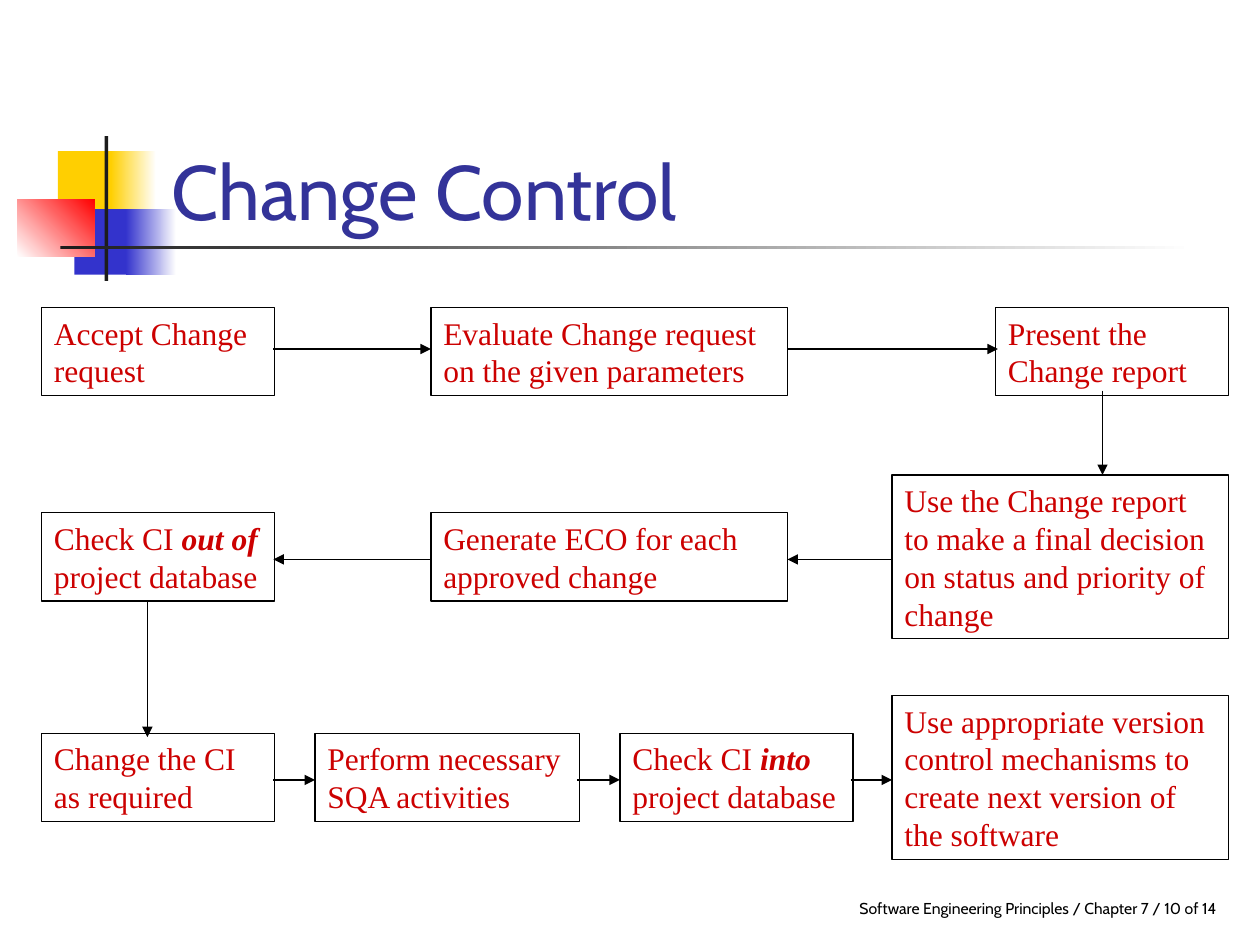
from dataclasses import dataclass

from lxml.etree import SubElement
from pptx import Presentation
from pptx.dml.color import RGBColor as RGB
from pptx.enum.shapes import MSO_CONNECTOR as CONNECTOR, MSO_SHAPE as SHAPE
from pptx.enum.text import MSO_ANCHOR as ANCHOR, MSO_AUTO_SIZE as AUTO, PP_ALIGN as ALIGN
from pptx.oxml.ns import qn
from pptx.util import Inches, Pt


@dataclass(frozen=True)
class Theme:
    heading_font: str = "Cabin"
    body_font: str = "Times New Roman"
    title_size: int = 44
    box_size: int = 18
    footer_size: int = 9
    line_width: float = 0.75
    title: str = "333399"
    box_text: str = "CC0000"
    ink: str = "000000"
    paper: str = "FFFFFF"
    yellow: str = "FFCF01"
    blue: str = "3333CC"
    red: str = "FF0000"
    dark: str = "1C1C1C"


T = Theme()


def rgb(value):
    return RGB.from_string(value)


def style_run(r, font, size, color):
    r.font.name, r.font.size = font, Pt(size)
    r.font.color.rgb = rgb(color)


def place(sp, box):
    sp.left, sp.top, sp.width, sp.height = map(Inches, box)


def add_rect(slide, box):
    sp = slide.shapes.add_shape(SHAPE.RECTANGLE, *map(Inches, box))
    sp.shadow.inherit = False
    return sp


def add_block(slide, box, start, end=None, angle=0):
    """Borderless rectangle, solid or fading from start to end."""
    sp = add_rect(slide, box)
    sp.line.fill.background()
    if end is None:
        sp.fill.solid()
        sp.fill.fore_color.rgb = rgb(start)
        return
    sp.fill.gradient()
    sp.fill.gradient_angle = angle
    for stop, color in zip(sp.fill.gradient_stops, (start, end)):
        stop.color.rgb = rgb(color)


def add_ornament(slide, box):
    """Coloured squares with the crossing bars."""
    x, y, w, h = box
    add_block(slide, (x + 0.32, y + 0.12, 0.48, 0.52), T.yellow)
    add_block(slide, (x + 0.74, y + 0.12, 0.36, 0.52), T.yellow, T.paper)
    add_block(slide, (x + 0.45, y + 0.58, 0.46, 0.52), T.blue)
    add_block(slide, (x + 0.86, y + 0.58, 0.4, 0.52), T.blue, T.paper)
    add_block(slide, (x, y + 0.5, 0.61, 0.46), T.paper, T.red, angle=45)
    add_block(slide, (x + 0.69, y, 0.03, h), T.dark)
    add_block(slide, (x + 0.34, y + 0.87, w - 0.34, 0.03), T.dark, T.paper)


def add_title(slide, box, text):
    sp = slide.shapes.title
    place(sp, box)
    slide.shapes._spTree.append(sp._element)  # in front of the ornament
    tf = sp.text_frame
    tf.text = text
    tf.auto_size, tf.vertical_anchor = AUTO.NONE, ANCHOR.BOTTOM
    p = tf.paragraphs[0]
    p.alignment = ALIGN.LEFT
    style_run(p.runs[0], T.heading_font, T.title_size, T.title)


def add_footer(slide, box, text):
    tf = slide.shapes.add_textbox(*map(Inches, box)).text_frame
    tf.text = text
    tf.word_wrap, tf.vertical_anchor = True, ANCHOR.BOTTOM
    p = tf.paragraphs[0]
    p.alignment = ALIGN.RIGHT
    style_run(p.runs[0], T.heading_font, T.footer_size, T.ink)


def add_step(slide, box, parts):
    """Outlined box; every second part of its text is emphasised."""
    sp = add_rect(slide, box)
    sp.fill.background()
    sp.line.color.rgb, sp.line.width = rgb(T.ink), Pt(T.line_width)
    tf = sp.text_frame
    tf.word_wrap, tf.vertical_anchor = True, ANCHOR.TOP
    p = tf.paragraphs[0]
    p.alignment = ALIGN.LEFT
    for i, part in enumerate(parts):
        r = p.add_run()
        r.text = part
        style_run(r, T.body_font, T.box_size, T.box_text)
        if i % 2:
            r.font.bold = r.font.italic = True


def add_arrow(slide, start, end):
    c = slide.shapes.add_connector(CONNECTOR.STRAIGHT, *map(Inches, start + end))
    c.line.color.rgb, c.line.width = rgb(T.ink), Pt(T.line_width)
    SubElement(c.line._get_or_add_ln(), qn("a:tailEnd"), type="triangle")
    SubElement(c._element.spPr, qn("a:effectLst"))


def add_flow(slide, box):
    """Three rows of steps, joined by arrows in a winding path."""
    x, y, w, _ = box
    narrow, middle, wide = 1.85, 2.83, 2.67
    short, tall = 0.7, 1.3
    right = x + w
    mid_x, wide_x = x + 3.09, right - wide
    row1, row2, row3 = y, y + 1.63, y + 3.38
    rise = (tall - short) / 2  # tall boxes are centred on their row

    steps = [
        (x, row1, narrow, short, ["Accept Change request"]),
        (mid_x, row1, middle, short, ["Evaluate Change request on the given parameters"]),
        (right - narrow, row1, narrow, short, ["Present the Change report"]),
        (wide_x, row2 - rise, wide, tall,
         ["Use the Change report to make a final decision on status and priority of change"]),
        (mid_x, row2, middle, short, ["Generate ECO for each approved change"]),
        (x, row2, narrow, short, ["Check CI ", "out of", " project database"]),
        (x, row3, narrow, short, ["Change the CI as required"]),
        (x + 2.17, row3, 2.1, short, ["Perform necessary SQA activities"]),
        (x + 4.59, row3, narrow, short, ["Check CI ", "into", " project database"]),
        (wide_x, row3 - rise, wide, tall,
         ["Use appropriate version control mechanisms to create next version of the software"]),
    ]
    for *step_box, parts in steps:
        add_step(slide, step_box, parts)

    # Horizontal arrows: row height, then pairs of start and end
    across = [
        (row1 + 0.33, [(2.17, 3.42), (6.25, 7.92)]),
        (row2 + 0.37, [(7.08, 6.25), (3.42, 2.17)]),
        (row3 + 0.37, [(2.17, 2.5), (4.58, 4.92), (6.75, 7.08)]),
    ]
    for level, spans in across:
        for start, end in spans:
            add_arrow(slide, (start, level), (end, level))
    # Vertical arrows between rows
    add_arrow(slide, (right - 1, row1 + 0.66), (right - 1, row2 - rise))
    add_arrow(slide, (x + 0.84, row2 + short), (x + 0.84, row3 + 0.03))


def main():
    prs = Presentation()
    prs.slide_width, prs.slide_height = Inches(10), Inches(7.5)
    slide = prs.slides.add_slide(prs.slide_layouts[5])
    add_ornament(slide, (0.14, 1.08, 9.34, 1.15))
    add_footer(slide, (3.75, 6.83, 6, 0.5),
               "Software Engineering Principles / Chapter 7 / 10 of 14")
    add_title(slide, (1.26, 0.67, 8.52, 1.25), "Change Control")
    add_flow(slide, (0.33, 2.44, 9.42, 4.38))
    prs.save("out.pptx")


if __name__ == "__main__":
    main()
